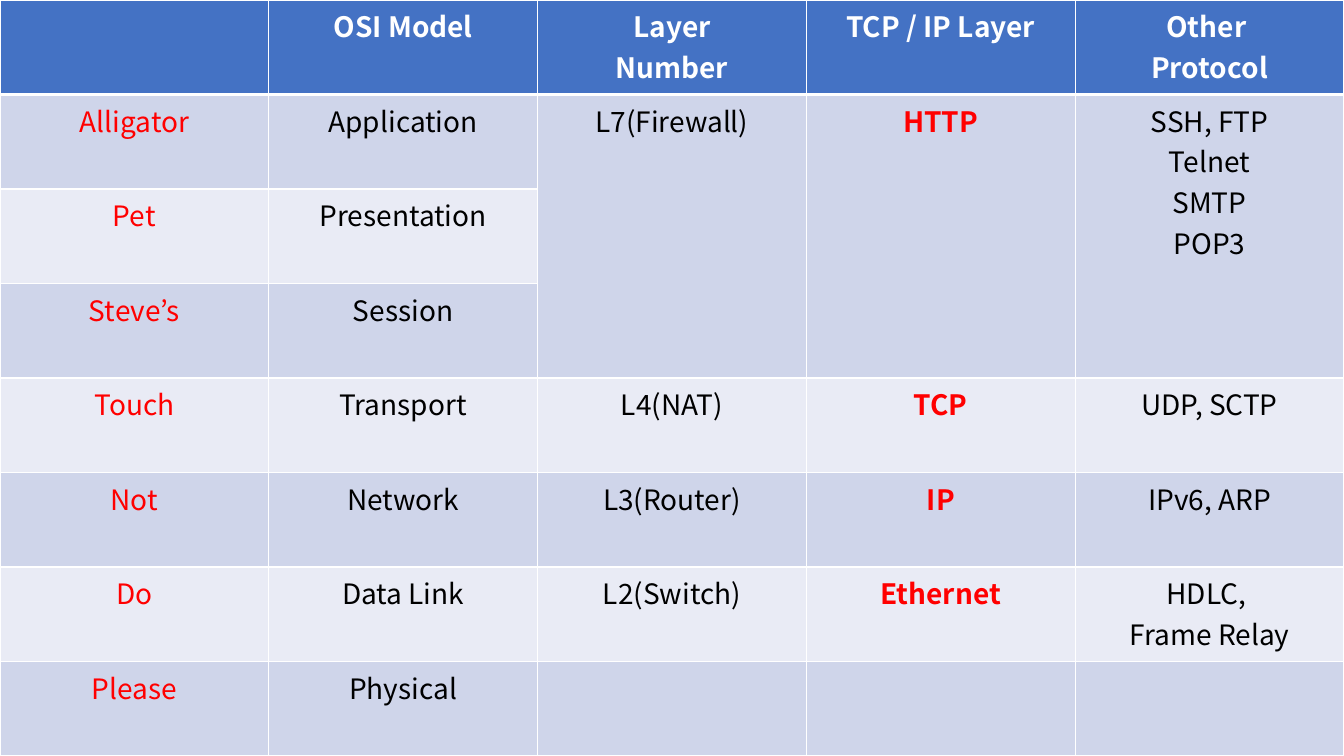
"""Build a slide with a table that compares the OSI model and TCP/IP layers."""
from lxml.etree import SubElement
from pptx import Presentation
from pptx.dml.color import RGBColor
from pptx.enum.text import PP_ALIGN as Align
from pptx.oxml.ns import qn
from pptx.util import Emu, Pt

HEADER = ("", "OSI Model", "Layer\vNumber", "TCP / IP Layer", "Other \vProtocol")
LAYERS = [
    ("Alligator", "Application", "L7(Firewall)", "HTTP", "SSH, FTP\nTelnet\vSMTP\vPOP3"),
    ("Pet", "Presentation", "", "", ""),
    ("Steve’s", "Session", "", "", ""),
    ("Touch", "Transport", "L4(NAT)", "TCP", "UDP, SCTP"),
    ("Not", "Network", "L3(Router)", "IP", "IPv6, ARP"),
    ("Do", "Data Link", "L2(Switch)", "Ethernet", "HDLC, \vFrame Relay"),
    ("Please", "Physical", "", "", ""),
]
ROWS = [HEADER] + LAYERS
MNEMONIC, LAYER_NUMBER, TCP_IP, PROTOCOL = 0, 2, 3, 4
MERGED_TOP, MERGED_BOTTOM = 1, 3

WIDTH, HEIGHT = 1344, 756
SCALE = 12192000 / WIDTH
FONT, SIZE = "Noto Sans CJK KR", Pt(20)
THIN, THICK = Pt(1), Pt(3)

WHITE = RGBColor(0xFF, 0xFF, 0xFF)
BLACK = RGBColor(0x00, 0x00, 0x00)
RED = RGBColor(0xFF, 0x00, 0x00)
BLUE = RGBColor(0x44, 0x72, 0xC4)
DARK_BAND = RGBColor(0xCF, 0xD5, 0xEA)
LIGHT_BAND = RGBColor(0xE9, 0xEB, 0xF5)


def emu(pixels):
    return Emu(round(pixels * SCALE))


def add_borders(cell, top, bottom):
    properties = cell._tc.get_or_add_tcPr()
    for side, width in (("L", THIN), ("R", THIN), ("T", top), ("B", bottom)):
        line = SubElement(properties, qn(f"a:ln{side}"), w=str(width))
        fill = SubElement(line, qn("a:solidFill"))
        SubElement(fill, qn("a:srgbClr"), val=str(WHITE))


def write_text(cell, text, color, bold):
    frame = cell.text_frame
    for index, content in enumerate(text.split("\n")):
        para = frame.add_paragraph() if index else frame.paragraphs[0]
        para.alignment = Align.CENTER
        para.font.size = SIZE
        for number, words in enumerate(content.split("\v")):
            if number:
                para.add_line_break()
            span = para.add_run()
            span.text = words
            span.font.name, span.font.size = FONT, SIZE
            span.font.bold, span.font.color.rgb = bold, color


def fill_cell(cell, row, column, text):
    header = row == 0
    add_borders(cell, THICK if row == 1 else THIN, THICK if header else THIN)
    cell.fill.solid()
    band = DARK_BAND if row % 2 else LIGHT_BAND
    cell.fill.fore_color.rgb = BLUE if header else band
    if text:
        red = column in (MNEMONIC, TCP_IP)
        color = WHITE if header else RED if red else BLACK
        write_text(cell, text, color, header or column == TCP_IP)


deck = Presentation()
deck.slide_width, deck.slide_height = emu(WIDTH), emu(HEIGHT)
page = deck.slides.add_slide(deck.slide_layouts[6])
table = page.shapes.add_table(
    len(ROWS), len(HEADER), 0, 0, emu(WIDTH), emu(HEIGHT)).table
for table_column in table.columns:
    table_column.width = emu(WIDTH / len(HEADER))
for table_row in table.rows:
    table_row.height = emu(HEIGHT / len(ROWS))

for row, texts in enumerate(ROWS):
    for column, text in enumerate(texts):
        fill_cell(table.cell(row, column), row, column, text)
for column in (LAYER_NUMBER, TCP_IP, PROTOCOL):
    table.cell(MERGED_TOP, column).merge(table.cell(MERGED_BOTTOM, column))

deck.save("out.pptx")
